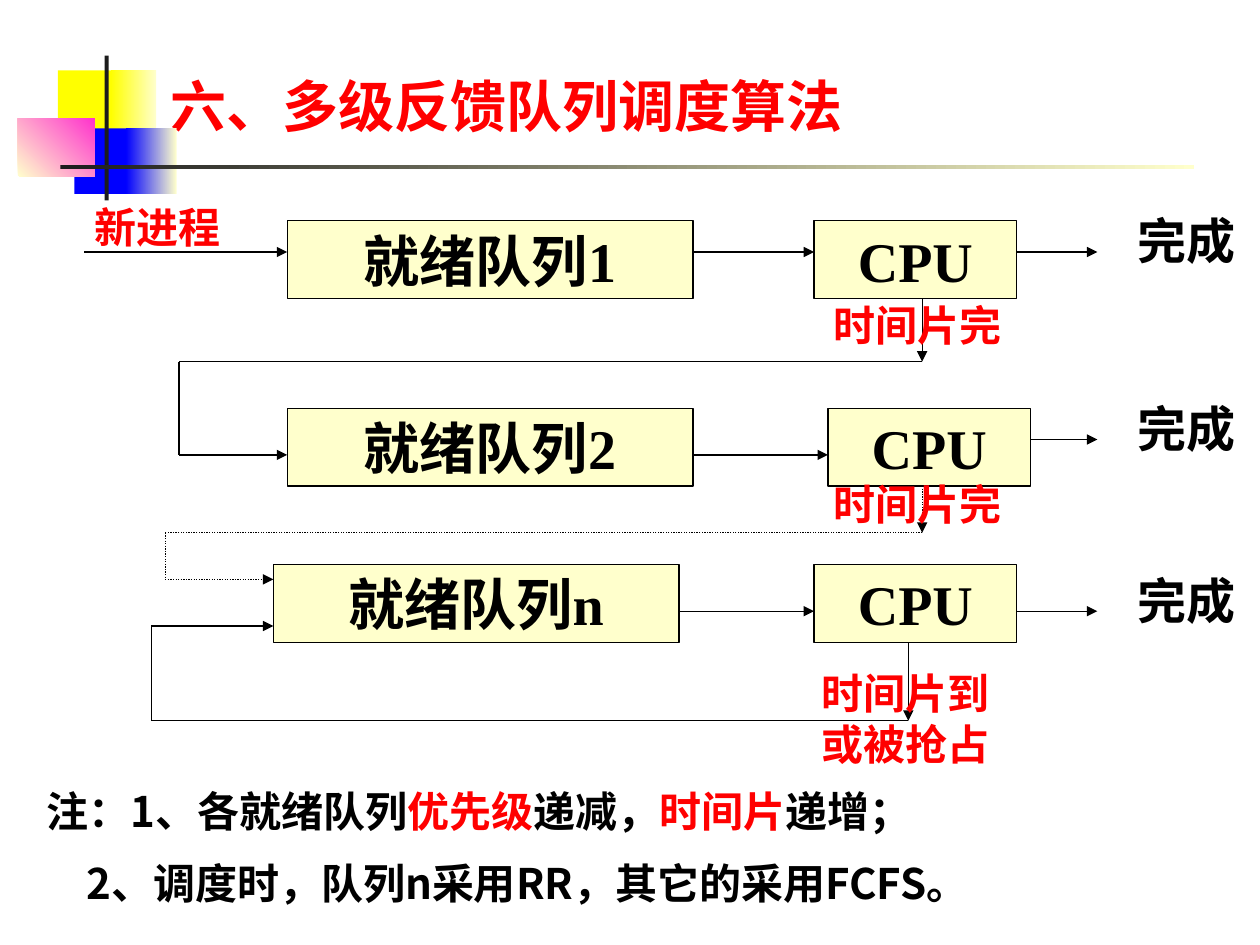
from lxml.etree import SubElement
from pptx import Presentation
from pptx.dml.color import RGBColor
from pptx.enum.dml import MSO_LINE
from pptx.enum.shapes import MSO_CONNECTOR, MSO_SHAPE
from pptx.enum.text import MSO_ANCHOR, MSO_AUTO_SIZE, PP_ALIGN
from pptx.oxml.ns import qn
from pptx.util import Cm, Pt

RED, BLACK, CREAM, DARK = "FF0000", "000000", "FFFFCC", "1C1C1C"
YELLOW, BLUE, PINK = "FFFF00", "0000FF", "FF33CC"
SERIF, CJK = "Times New Roman", "Noto Sans CJK SC"


def rgb(value):
    return RGBColor.from_string(value)


class Diagram:
    """Holds the current slide and its style."""

    def __init__(self, slide):
        self.slide = slide
        self.shapes = slide.shapes

    def run(self, p, text, size, color, font):
        r = p.add_run()
        r.text = text
        r.font.size = Pt(size)
        r.font.bold = True
        r.font.name = font
        r.font.color.rgb = rgb(color)
        SubElement(r.font._element, qn("a:ea"), typeface=CJK)

    def title(self, text, x, y, w, h):
        sp = self.shapes.title
        sp.left, sp.top, sp.width, sp.height = Cm(x), Cm(y), Cm(w), Cm(h)
        tf = sp.text_frame
        tf.auto_size = MSO_AUTO_SIZE.NONE
        tf.vertical_anchor = MSO_ANCHOR.BOTTOM
        p = tf.paragraphs[0]
        p.alignment = PP_ALIGN.LEFT
        self.run(p, text, 32, RED, SERIF)

    def rect(self, x, y, w, h, *colors, angle=0):
        """Draw a borderless rectangle, with a gradient if two colours are given."""
        sp = self.shapes.add_shape(MSO_SHAPE.RECTANGLE, Cm(x), Cm(y), Cm(w), Cm(h))
        sp.shadow.inherit = False
        sp.line.fill.background()
        if len(colors) == 1:
            sp.fill.solid()
            sp.fill.fore_color.rgb = rgb(colors[0])
        else:
            sp.fill.gradient()
            sp.fill.gradient_angle = angle
            for stop, color in zip(sp.fill.gradient_stops, colors):
                stop.color.rgb = rgb(color)
        return sp

    def box(self, text, x, y, w, h):
        sp = self.rect(x, y, w, h, CREAM)
        sp.line.color.rgb = rgb(BLACK)
        sp.line.width = Pt(0.75)
        tf = sp.text_frame
        tf.word_wrap = False
        tf.vertical_anchor = MSO_ANCHOR.MIDDLE
        p = tf.paragraphs[0]
        p.alignment = PP_ALIGN.CENTER
        self.run(p, text, 32, BLACK, SERIF)

    def line(self, start, end, arrow=True, dotted=False):
        cx = self.shapes.add_connector(
            MSO_CONNECTOR.STRAIGHT, *(Cm(v) for v in (*start, *end)))
        cx.line.color.rgb = rgb(BLACK)
        cx.line.width = Pt(0.75)
        if dotted:
            cx.line.dash_style = MSO_LINE.ROUND_DOT
        if arrow:
            SubElement(cx.line._get_or_add_ln(), qn("a:tailEnd"), type="triangle")
        SubElement(cx._element.spPr, qn("a:effectLst"))

    def feedback(self, start, turn_y, left, end, dotted):
        """Lead from a CPU down, left and into a queue."""
        points = [start, (start[0], turn_y), (left, turn_y), (left, end[1]), end]
        for i, (a, b) in enumerate(zip(points, points[1:])):
            self.line(a, b, arrow=i in (0, 3), dotted=dotted)

    def text(self, paragraphs, x, y, w, h, size=24, font=CJK, align=PP_ALIGN.LEFT):
        """Add a text box; each paragraph is a list of (text, colour) runs."""
        sp = self.shapes.add_textbox(Cm(x), Cm(y), Cm(w), Cm(h))
        tf = sp.text_frame
        tf.word_wrap = True
        for i, runs in enumerate(paragraphs):
            p = tf.add_paragraph() if i else tf.paragraphs[0]
            p.alignment = align
            if i:
                p.space_before = Pt(size / 2)
                p._p.get_or_add_pPr().set("marL", str(Cm(0.8)))
            for text, color in runs:
                self.run(p, text, size, color, font)


def main():
    prs = Presentation()
    prs.slide_width, prs.slide_height = Cm(25.4), Cm(19.05)
    d = Diagram(prs.slides.add_slide(prs.slide_layouts[5]))

    d.rect(1.17, 1.42, 1.22, 1.32, YELLOW)
    d.rect(2.24, 1.42, 0.91, 1.32, YELLOW, CREAM)
    d.rect(1.5, 2.59, 1.17, 1.32, BLUE)
    d.rect(2.54, 2.59, 1.02, 1.32, BLUE, CREAM)
    d.rect(0.36, 2.39, 1.55, 1.17, CREAM, PINK, angle=45)
    d.rect(2.11, 1.12, 0.08, 2.92, DARK)
    d.rect(1.22, 3.33, 22.86, 0.08, DARK, CREAM)
    d.title("六、多级反馈队列调度算法", 3.18, 1.02, 19.74, 1.9)

    queue_w, cpu_w, box_h = 8.18, 4.09, 1.57
    # name, queue x, CPU x, top, y of the link, y of the exit, top of the exit label
    rows = [
        ("1", 5.79, 16.41, 4.45, 5.08, 5.08, 4.11),
        ("2", 5.79, 16.69, 8.23, 9.17, 8.86, 7.9),
        ("n", 5.51, 16.41, 11.38, 12.32, 12.32, 11.38),
    ]
    for name, queue_x, cpu_x, top, link_y, exit_y, label_y in rows:
        d.box("就绪队列" + name, queue_x, top, queue_w, box_h)
        d.box("CPU", cpu_x, top, cpu_w, box_h)
        d.line((queue_x + queue_w, link_y), (cpu_x, link_y))
        d.line((cpu_x + cpu_w, exit_y), (22.12, exit_y))
        d.text([[("完成", BLACK)]], 22.68, label_y, 2.72, 1.45, 28, SERIF)

    d.line((1.7, 5.08), (5.79, 5.08))
    d.feedback((18.59, 6.02), 7.29, 3.61, (5.79, 9.17), dotted=False)
    d.feedback((18.59, 9.8), 10.74, 3.33, (5.51, 11.68), dotted=True)
    d.feedback((18.31, 12.95), 14.53, 3.05, (5.51, 12.62), dotted=False)

    for text, x, y, w in [("新进程", 1.09, 3.94, 4.19),
                          ("时间片完", 16.51, 5.92, 3.99),
                          ("时间片完", 16.51, 9.53, 3.99)]:
        d.text([[(text, RED)]], x, y, w, 1.27, align=PP_ALIGN.CENTER)
    d.text([[("时间片到或被抢占", RED)]], 16.31, 13.34, 4.39, 2.29)

    d.text([
        [("注：1、各就绪队列", BLACK), ("优先级", RED), ("递减，", BLACK),
         ("时间片", RED), ("递增；", BLACK)],
        [("2、调度时，队列n采用RR，其它的采用FCFS。", BLACK)],
    ], 0.69, 15.72, 23.01, 2.79)

    prs.save("out.pptx")


if __name__ == "__main__":
    main()
